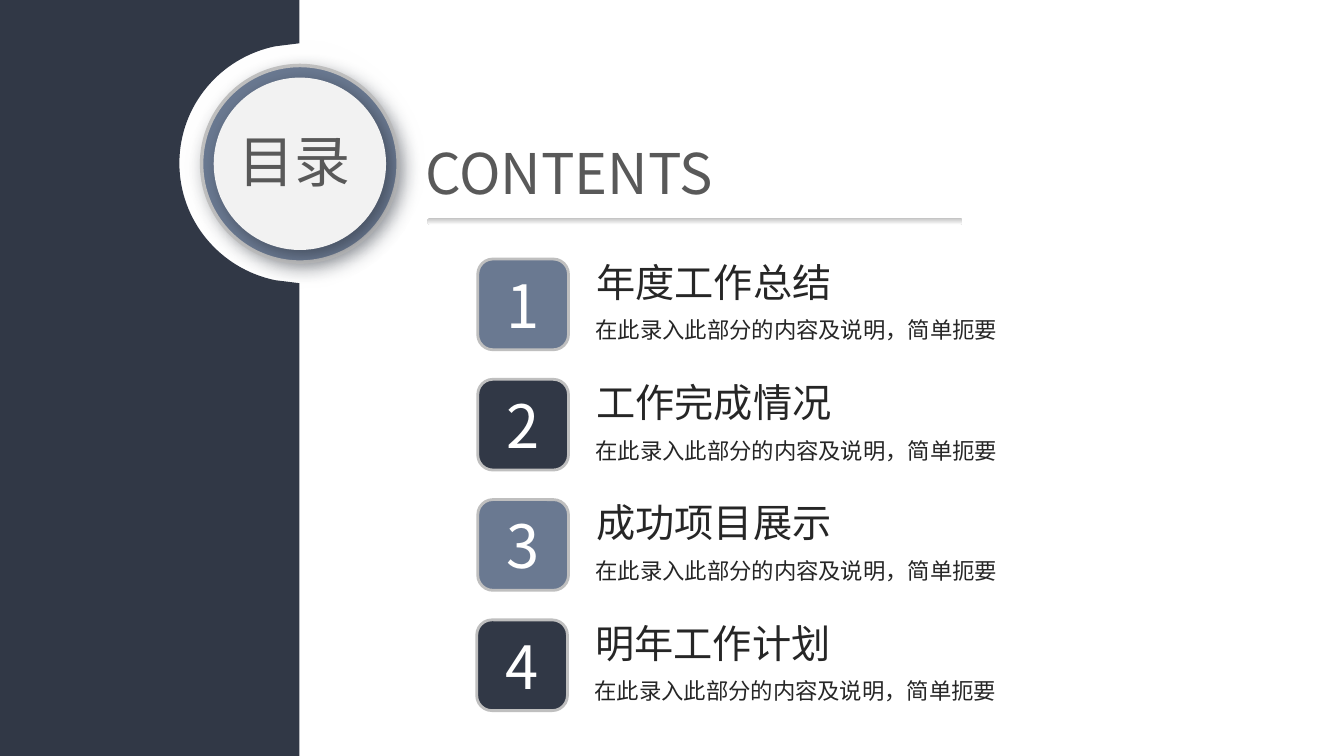
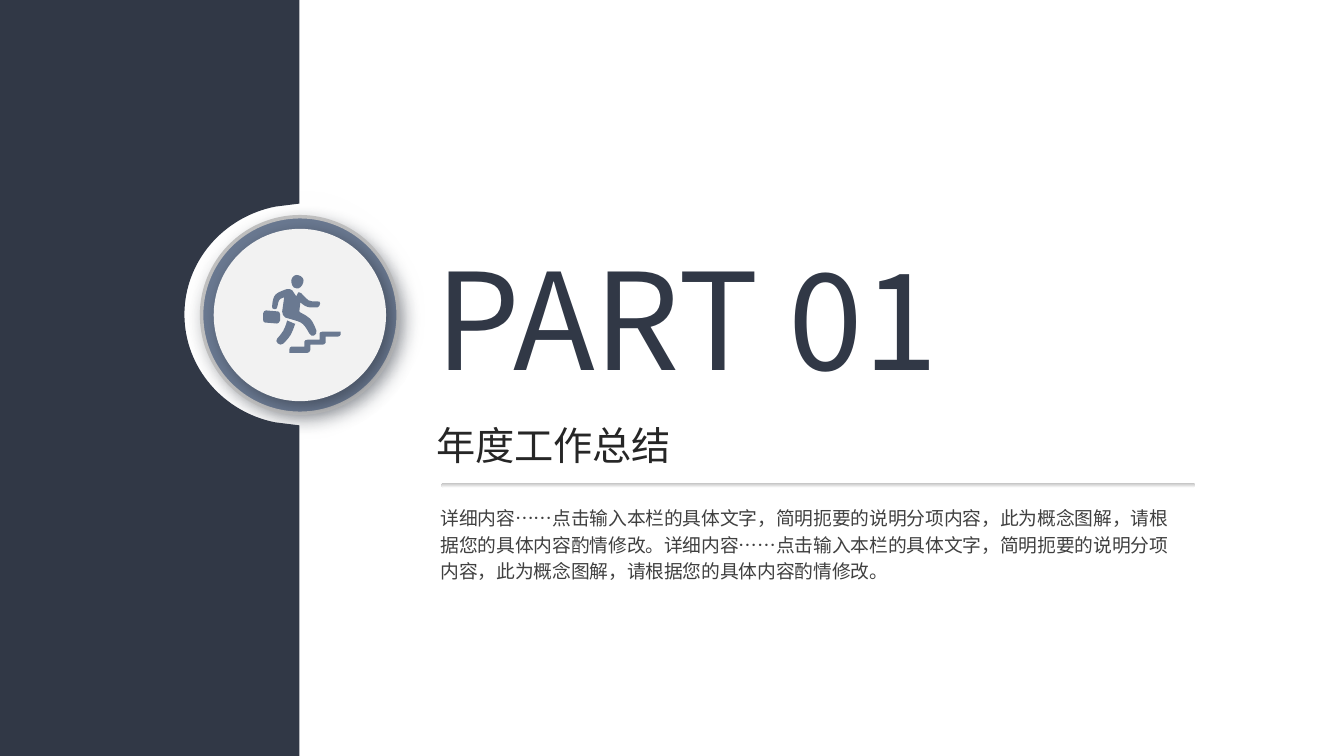
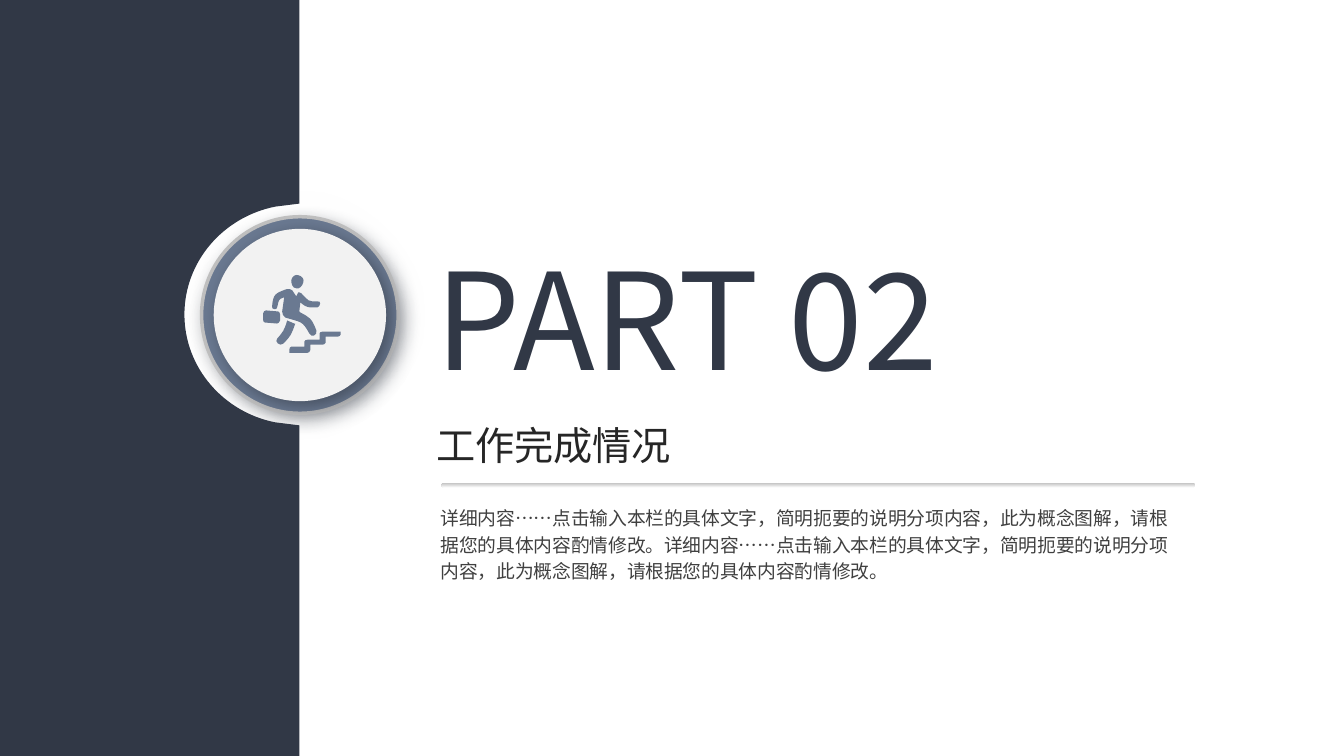
from lxml.etree import Element, SubElement
from pptx import Presentation
from pptx.dml.color import RGBColor
from pptx.enum.shapes import MSO_SHAPE
from pptx.enum.text import MSO_ANCHOR, MSO_AUTO_SIZE, PP_ALIGN
from pptx.oxml.ns import qn
from pptx.util import Inches, Pt

FONT = "Noto Sans CJK SC"
NAVY, SLATE, SILVER, WHITE = "313846", "6A7991", "BFBFBF", "FFFFFF"
PALE, SHADE, GREY, INK, BODY = "F2F2F2", "353C48", "595959", "262626", "404040"
CHAPTERS = ["年度工作总结", "工作完成情况", "成功项目展示", "明年工作计划"]
ENTRY_LEFTS = [4.74, 4.74, 4.74, 4.73]
NOTE = "在此录入此部分的内容及说明，简单扼要"
DETAIL = ("详细内容……点击输入本栏的具体文字，简明扼要的说明分项内容，"
          "此为概念图解，请根据您的具体内容酌情修改。")

STAIRS = [[
    (28, 72), (41, 72), (41, 67), (41, 66, 42, 65, 44, 65), (56, 65), (56, 59),
    (56, 58, 57, 57, 59, 57), (77, 57), (77, 60), (77, 61, 75, 62, 74, 62),
    (62, 62), (62, 68), (62, 69, 60, 70, 59, 70), (47, 70), (47, 75),
    (47, 77, 45, 78, 44, 78), (26, 78), (26, 75), (26, 73, 27, 72, 28, 72),
]]
BRIEFCASE = [
    (2, 48), (14, 49), (15, 49, 16, 48, 17, 46), (17, 40),
    (17, 39, 16, 37, 15, 37), (3, 36), (2, 36, 0, 37, 0, 39), (0, 45),
    (0, 47, 1, 48, 2, 48),
]
BACK_LEG = [
    (14, 64), (20, 57, 21, 56, 24, 46), (26, 47, 29, 48, 31, 49), (32, 49),
    (28, 60, 28, 61, 20, 69), (17, 72, 11, 67, 14, 64),
]
HEAD = [
    (35, 1), (39, 2, 41, 5, 40, 8), (39, 12, 36, 15, 33, 14),
    (29, 14, 28, 9, 28, 6), (29, 2, 32, 0, 35, 1),
]
TORSO = [
    (35, 18), (35, 18, 37, 18, 38, 19), (46, 27, 44, 27, 54, 27),
    (58, 26, 57, 32, 54, 33), (45, 33, 44, 34, 37, 28), (36, 37),
    (36, 37, 36, 38, 37, 38), (46, 43, 48, 43, 53, 56),
    (54, 61, 48, 63, 46, 59), (39, 46, 38, 48, 22, 43),
    (20, 41, 19, 40, 19, 37), (21, 23), (15, 25, 16, 25, 14, 33),
    (14, 36, 8, 35, 9, 32), (10, 20, 12, 19, 23, 15),
    (25, 14, 28, 15, 29, 16), (33, 22),
]
RUNNER = [BRIEFCASE, BACK_LEG, HEAD, TORSO]


def colour(code):
    """Turn a hex string into a colour."""
    return RGBColor.from_string(code)


def apply(target, values):
    """Set every attribute named in a dict of format values."""
    for name, value in values.items():
        setattr(target, name, value)


def paint(shape, fill, line=None, weight=0):
    """Give a shape a solid or top-down gradient fill, and a line or none."""
    shape.shadow.inherit = False
    if isinstance(fill, tuple):
        shape.fill.gradient()
        shape.fill.gradient_angle = 270
        for stop, code in zip(shape.fill.gradient_stops, fill):
            stop.color.rgb = colour(code)
    else:
        shape.fill.solid()
        shape.fill.fore_color.rgb = colour(fill)
    if line:
        shape.line.color.rgb = colour(line)
        shape.line.width = Pt(weight)
    else:
        shape.line.fill.background()


def add_effect(shape, kind, **values):
    """Add one effect to a painted shape and return its element."""
    effects = shape._element.spPr.find(qn("a:effectLst"))
    effect = SubElement(effects, qn(f"a:{kind}"))
    for name, value in values.items():
        effect.set(name, str(value))
    return effect


def add_shadow(shape, opacity):
    """Cast a soft shadow to the lower right."""
    shadow = add_effect(shape, "outerShdw", blurRad=Pt(12), dist=Pt(5),
                        dir=45 * 60000, algn="tl", rotWithShape=0)
    tint = SubElement(shadow, qn("a:srgbClr"))
    tint.set("val", SHADE)
    SubElement(tint, qn("a:alpha")).set("val", str(opacity * 1000))


def add_preset(slide, preset, box, fill, line=None, weight=0, corner=None):
    """Draw a painted preset shape in a box of inches."""
    shape = slide.shapes.add_shape(preset, *map(Inches, box))
    paint(shape, fill, line, weight)
    if corner is not None:
        shape.adjustments[0] = corner
    return shape


def add_outline(slide, contours, fill):
    """Draw closed contours of lines and cubic curves, given in inches."""
    paths = [[tuple(map(Inches, step)) for step in contour] for contour in contours]
    builder = slide.shapes.build_freeform(*paths[0][0], scale=1.0)
    for index, path in enumerate(paths):
        if index:
            builder.move_to(*path[0])
        builder.add_line_segments([step[-2:] for step in path[1:]], close=False)
        builder.add_line_segments([], close=True)
    outline = builder.convert_to_shape()
    paint(outline, fill)
    bend(outline, [step for path in paths for step in path])


def bend(outline, steps):
    """Turn the segments that have control points into cubic curves."""
    kinds = (qn("a:moveTo"), qn("a:lnTo"))
    segments = [part for part in outline._element.iter(*kinds)]
    for segment, step in zip(drop_closing(segments, steps), steps):
        if len(step) == 2:
            continue
        curve = Element(qn("a:cubicBezTo"))
        for x, y in (step[:2], step[2:4]):
            control = SubElement(curve, qn("a:pt"))
            control.set("x", str(x - outline.left))
            control.set("y", str(y - outline.top))
        curve.append(segment[0])
        segment.getparent().replace(segment, curve)


def drop_closing(segments, steps):
    """Check that each segment has its step."""
    if len(segments) != len(steps):
        raise ValueError("segments and steps differ")
    return segments


def scale_steps(steps, left, top):
    """Turn steps in hundredths into steps in inches from a corner."""
    return [tuple((top if index % 2 else left) + value / 100
                  for index, value in enumerate(step)) for step in steps]


def write(shape, text, size, ink, anchor=MSO_ANCHOR.TOP, wrap=True,
          fit=MSO_AUTO_SIZE.SHAPE_TO_FIT_TEXT, align=PP_ALIGN.LEFT, spacing=1.0):
    """Write one formatted paragraph into a shape."""
    frame = shape.text_frame
    frame.text = text
    apply(frame, {"word_wrap": wrap, "auto_size": fit, "vertical_anchor": anchor})
    paragraph = frame.paragraphs[0]
    apply(paragraph, {"alignment": align, "line_spacing": spacing,
                      "space_before": Pt(0), "space_after": Pt(0)})
    run = paragraph.runs[0]
    run.font.color.rgb = colour(ink)
    apply(run.font, {"name": FONT, "size": Pt(size), "bold": False})
    SubElement(run._r.get_or_add_rPr(), qn("a:ea")).set("typeface", FONT)


def add_label(slide, box, text, size, ink, **format_values):
    """Add a text box in a box of inches."""
    label = slide.shapes.add_textbox(*map(Inches, box))
    write(label, text, size, ink, **format_values)


def fill_placeholder(placeholder, box, text, size, ink, **format_values):
    """Move a placeholder to a box of inches and write in it."""
    apply(placeholder, dict(zip(("left", "top", "width", "height"), map(Inches, box))))
    write(placeholder, text, size, ink, **format_values)


def add_side_band(slide, box, middle, reach, half):
    """Draw the dark side band with a rounded notch in its right edge."""
    left, top, width, height = box
    right, bottom = left + width, top + height
    shoulder, bulge, tip = right - 0.24, right - 0.66 * reach, right - reach
    rise, high, low = half - 0.03, 0.88 * half, 0.48 * half
    add_outline(slide, [[
        (left, top), (right, top), (right, middle - half), (shoulder, middle - rise),
        (bulge, middle - high, tip, middle - low, tip, middle),
        (tip, middle + low, bulge, middle + high, shoulder, middle + rise),
        (right, middle + half), (right, bottom), (left, bottom),
    ]], NAVY)


def add_halo(slide, box):
    """Draw the soft round glow that fills a box."""
    halo = add_preset(slide, MSO_SHAPE.OVAL, box, (WHITE, SILVER))
    add_effect(halo, "softEdge", rad=Inches(0.35))


def add_medallion(slide, box):
    """Draw the ring and its raised disc inside the halo's box."""
    left, top, size, _ = box
    for inset, fill, line, opacity in ((0.33, SLATE, SILVER, 40), (0.45, PALE, None, 64)):
        side = size - 2 * inset
        disc = add_preset(slide, MSO_SHAPE.OVAL,
                          (left + inset, top + inset, side, side), fill, line, 2.5)
        add_shadow(disc, opacity)


def add_rule(slide, box):
    """Draw a thin shaded rule."""
    add_preset(slide, MSO_SHAPE.ROUNDED_RECTANGLE, box, (SILVER, WHITE), corner=0.5)


def add_entry(slide, left, top, number, chapter):
    """Draw one numbered contents entry."""
    tile = add_preset(slide, MSO_SHAPE.ROUNDED_RECTANGLE, (left, top + 0.06, 0.9, 0.9),
                      SLATE if number % 2 else NAVY, SILVER, 2, 0.167)
    write(tile, str(number), 42.6, WHITE, anchor=MSO_ANCHOR.MIDDLE,
          fit=MSO_AUTO_SIZE.NONE, align=PP_ALIGN.CENTER)
    add_label(slide, (left + 1.08, top, 3.23, 0.57), chapter, 28, INK,
              align=PP_ALIGN.JUSTIFY)
    add_label(slide, (left + 1.07, top + 0.58, 4.24, 0.37), NOTE, 16, INK, wrap=False)


def add_contents_slide(deck):
    """Add the contents slide."""
    slide = deck.slides.add_slide(deck.slide_layouts[5])
    halo = (1.67, 0.32, 2.61, 2.61)
    add_side_band(slide, (-0.13, 0, 3.1, 7.5), 1.62, 1.19, 1.19)
    add_halo(slide, halo)
    add_medallion(slide, halo)
    fill_placeholder(slide.shapes.title, (4.12, 1.32, 4.64, 0.77), "CONTENTS", 40, GREY)
    add_label(slide, (2, 1.21, 1.85, 0.77), "目录", 40, GREY, align=PP_ALIGN.CENTER)
    add_rule(slide, (4.24, 2.16, 5.31, 0.07))
    pitch = (6.09 - 2.51) / 3
    for index, (left, chapter) in enumerate(zip(ENTRY_LEFTS, CHAPTERS)):
        add_entry(slide, left, 2.51 + pitch * index, index + 1, chapter)


def add_section_slide(deck, number):
    """Add the opening slide of a numbered part."""
    slide = deck.slides.add_slide(deck.slide_layouts[2])
    halo = (1.67, 1.82, 2.61, 2.61)
    add_halo(slide, halo)
    add_side_band(slide, (0, -0.38, 2.97, 8.11), 3.12, 1.14, 1.1)
    add_medallion(slide, halo)
    add_rule(slide, (4.38, 4.79, 7.48, 0.05))
    fill_placeholder(slide.shapes.title, (4.22, 2.29, 5.25, 1.71),
                     f"PART {number:02}", 96, NAVY)
    add_label(slide, (4.23, 4.13, 3.63, 0.57), CHAPTERS[number - 1], 28, INK,
              align=PP_ALIGN.JUSTIFY)
    fill_placeholder(slide.placeholders[1], (4.27, 4.93, 7.59, 0.9), DETAIL * 2,
                     13.33, BODY, spacing=1.2)
    for figure in (STAIRS, RUNNER):
        add_outline(slide, [scale_steps(part, halo[0] + 0.94, halo[1] + 0.9)
                            for part in figure], SLATE)


deck = Presentation()
apply(deck, {"slide_width": Inches(40 / 3), "slide_height": Inches(7.5)})
add_contents_slide(deck)
for part_number in (1, 2):
    add_section_slide(deck, part_number)
deck.save("out.pptx")
